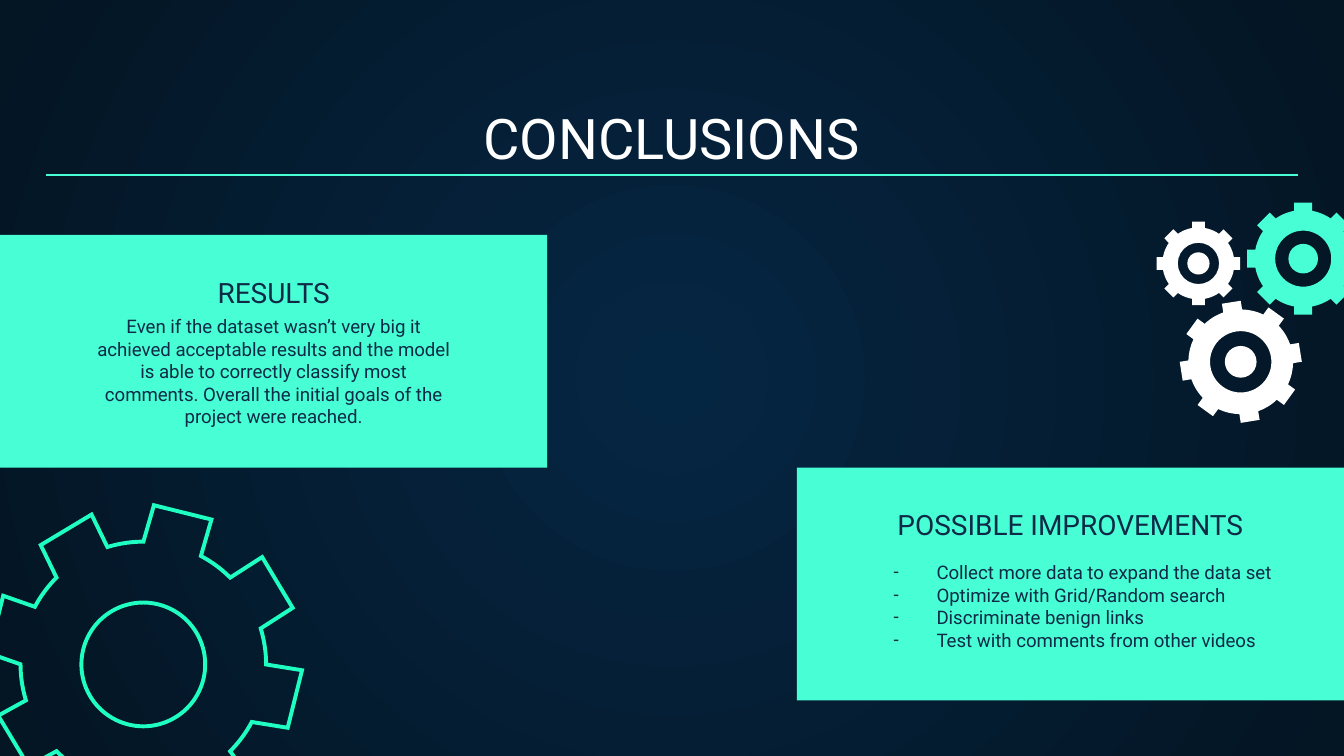
"""Build the Conclusions slide with two cards and decorative gears."""
from dataclasses import dataclass
from math import asin, atan2, cos, degrees, hypot, pi, radians, sin
from typing import Optional

from lxml import etree
from pptx import Presentation
from pptx.dml.color import RGBColor
from pptx.enum.shapes import MSO_CONNECTOR, MSO_SHAPE
from pptx.enum.text import MSO_ANCHOR, MSO_AUTO_SIZE, PP_ALIGN
from pptx.oxml.ns import qn
from pptx.util import Cm, Pt

COLORS = {
    "glow": "052643",
    "night": "041523",
    "mint": "48FFD5",
    "outline": "1EFFC1",
    "ink": "0E2A47",
    "white": "FFFFFF",
}
FONT = "Roboto"
TEETH = 8
Box = tuple[float, float, float, float]
Point = tuple[float, float]


@dataclass
class Card:
    box: Box
    heading_box: Box
    heading: str
    body_box: Box
    body: list[str]
    bulleted: bool = False


@dataclass
class Gear:
    center: Point
    tip: float
    body: float
    half_tooth: float
    circles: list[float]
    color: str
    turn: float = 0
    hub: Optional[Point] = None
    line_width: float = 0


@dataclass
class Arc:
    radius: float
    start: float
    sweep: float


CARDS = [
    Card((0, 4.44, 10.34, 4.4), (2.29, 5.03, 5.77, 1.07), "RESULTS",
         (1.54, 5.71, 7.26, 2.69),
         ["Even if the dataset wasn’t very big it achieved acceptable results "
          "and the model is able to correctly classify most comments. Overall "
          "the initial goals of the project were reached."]),
    Card((15.06, 8.84, 10.34, 4.4), (16.6, 9.41, 7.26, 1.07),
         "POSSIBLE IMPROVEMENTS", (16.18, 10.36, 8.28, 2.34),
         ["Collect more data to expand the data set",
          "Optimize with Grid/Random search",
          "Discriminate benign links",
          "Test with comments from other videos"], bulleted=True),
]
GEARS = [
    Gear((2.75, 12.51), 2.91, 2.32, 0.56, [1.17], "outline", turn=14,
         hub=(2.71, 12.56), line_width=2.1),
    Gear((24.63, 4.89), 1.06, 0.92, 0.17, [0.53, 0.28], "mint"),
    Gear((22.65, 4.98), 0.79, 0.68, 0.12, [0.39, 0.21], "white"),
    Gear((23.45, 6.84), 1.14, 0.99, 0.18, [0.58, 0.3], "white", turn=-9),
]


def rgb(name: str) -> RGBColor:
    return RGBColor.from_string(COLORS[name])


def lengths(box: Box) -> list[int]:
    return [Cm(value) for value in box]


def paint_background(slide) -> None:
    fill = slide.background.fill
    fill.gradient()
    for stop, position, name in zip(fill.gradient_stops, (0, 1), ("glow", "night")):
        stop.position = position
        stop.color.rgb = rgb(name)
    gradient = slide.element.find(".//" + qn("a:gradFill"))
    gradient.remove(gradient.find(qn("a:lin")))
    path = etree.SubElement(gradient, qn("a:path"), path="circle")
    etree.SubElement(path, qn("a:fillToRect"), l="50000", t="50000", r="50000", b="50000")


def add_dash(paragraph, color: str) -> None:
    properties = paragraph._p.get_or_add_pPr()
    properties.set("marL", str(Cm(1.27)))
    properties.set("indent", str(Cm(-0.81)))
    bullet_color = etree.SubElement(properties, qn("a:buClr"))
    etree.SubElement(bullet_color, qn("a:srgbClr"), val=COLORS[color])
    etree.SubElement(properties, qn("a:buFont"), typeface=FONT)
    etree.SubElement(properties, qn("a:buChar"), char="-")


def write(shape, lines: list[str], size: float, color: str, anchor=MSO_ANCHOR.TOP,
          bulleted: bool = False) -> None:
    frame = shape.text_frame
    frame.word_wrap = True
    frame.auto_size = MSO_AUTO_SIZE.NONE
    frame.vertical_anchor = anchor
    frame.margin_left = frame.margin_right = Cm(0.25)
    frame.margin_top = frame.margin_bottom = Cm(0.25)
    frame.text = "\n".join(lines)
    for paragraph in frame.paragraphs:
        paragraph.alignment = PP_ALIGN.LEFT if bulleted else PP_ALIGN.CENTER
        font = paragraph.runs[0].font
        font.name, font.size, font.color.rgb = FONT, Pt(size), rgb(color)
        if bulleted:
            add_dash(paragraph, color)


def add_title(slide, text: str) -> None:
    title = slide.shapes.title
    title.left, title.top, title.width, title.height = lengths((0.86, 1.8, 23.67, 1.68))
    write(title, [text], 30, "white", MSO_ANCHOR.BOTTOM)
    rule = slide.shapes.add_connector(
        MSO_CONNECTOR.STRAIGHT, *lengths((0.86, 3.31, 24.54, 3.31)))
    rule.line.color.rgb = rgb("mint")
    rule.line.width = Pt(0.75)
    etree.SubElement(rule._element.spPr, qn("a:effectLst"))


def add_card(slide, card: Card) -> None:
    panel = slide.shapes.add_shape(MSO_SHAPE.RECTANGLE, *lengths(card.box))
    panel.shadow.inherit = False
    panel.fill.solid()
    panel.fill.fore_color.rgb = rgb("mint")
    panel.line.fill.background()
    heading = slide.shapes.add_textbox(*lengths(card.heading_box))
    write(heading, [card.heading], 15, "ink", MSO_ANCHOR.BOTTOM)
    body = slide.shapes.add_textbox(*lengths(card.body_box))
    write(body, card.body, 10, "ink", bulleted=card.bulleted)


def polar(center: Point, radius: float, angle: float) -> Point:
    return Cm(center[0] + radius * cos(angle)), Cm(center[1] + radius * sin(angle))


def bend(line, arc: Arc) -> None:
    curve = etree.Element(
        qn("a:arcTo"), wR=str(Cm(arc.radius)), hR=str(Cm(arc.radius)),
        stAng=str(round(degrees(arc.start) % 360 * 60000)),
        swAng=str(round(degrees(arc.sweep) * 60000)))
    line.getparent().replace(line, curve)


def add_gear(slide, gear: Gear) -> None:
    hub = gear.hub or gear.center
    pitch = 2 * pi / TEETH
    corner = hypot(gear.tip, gear.half_tooth)
    tip_angle = atan2(gear.half_tooth, gear.tip)
    base_angle = asin(gear.half_tooth / gear.body)
    valley = pitch - 2 * base_angle
    outline: list[Point] = []
    arcs: list[Optional[Arc]] = []
    for tooth in range(TEETH):
        middle = radians(gear.turn) + tooth * pitch
        start = middle + base_angle
        outline += [polar(gear.center, corner, middle - tip_angle),
                    polar(gear.center, corner, middle + tip_angle),
                    polar(hub, gear.body, start),
                    polar(hub, gear.body, start + valley)]
        arcs += [None, None, None, Arc(gear.body, start, valley)]
    builder = slide.shapes.build_freeform(*outline[0])
    builder.add_line_segments(outline[1:] + outline[:1], close=True)
    arcs = arcs[1:] + [None]
    for radius in gear.circles:
        right, left = polar(hub, radius, 0), polar(hub, radius, pi)
        builder.move_to(*right)
        builder.add_line_segments([left, right], close=True)
        arcs += [Arc(radius, 0, pi), Arc(radius, pi, pi)]
    shape = builder.convert_to_shape()
    for line, arc in zip(list(shape._element.iter(qn("a:lnTo"))), arcs):
        if arc:
            bend(line, arc)
    shape.shadow.inherit = False
    if gear.line_width:
        shape.fill.background()
        shape.line.color.rgb = rgb(gear.color)
        shape.line.width = Pt(gear.line_width)
        etree.SubElement(shape.line._ln, qn("a:miter"), lim="800000")
    else:
        shape.fill.solid()
        shape.fill.fore_color.rgb = rgb(gear.color)
        shape.line.fill.background()


deck = Presentation()
deck.slide_width, deck.slide_height = Cm(25.4), Cm(14.29)
conclusions = deck.slides.add_slide(deck.slide_layouts[5])
paint_background(conclusions)
add_title(conclusions, "CONCLUSIONS")
for item in CARDS:
    add_card(conclusions, item)
for item in GEARS:
    add_gear(conclusions, item)
deck.save("out.pptx")
